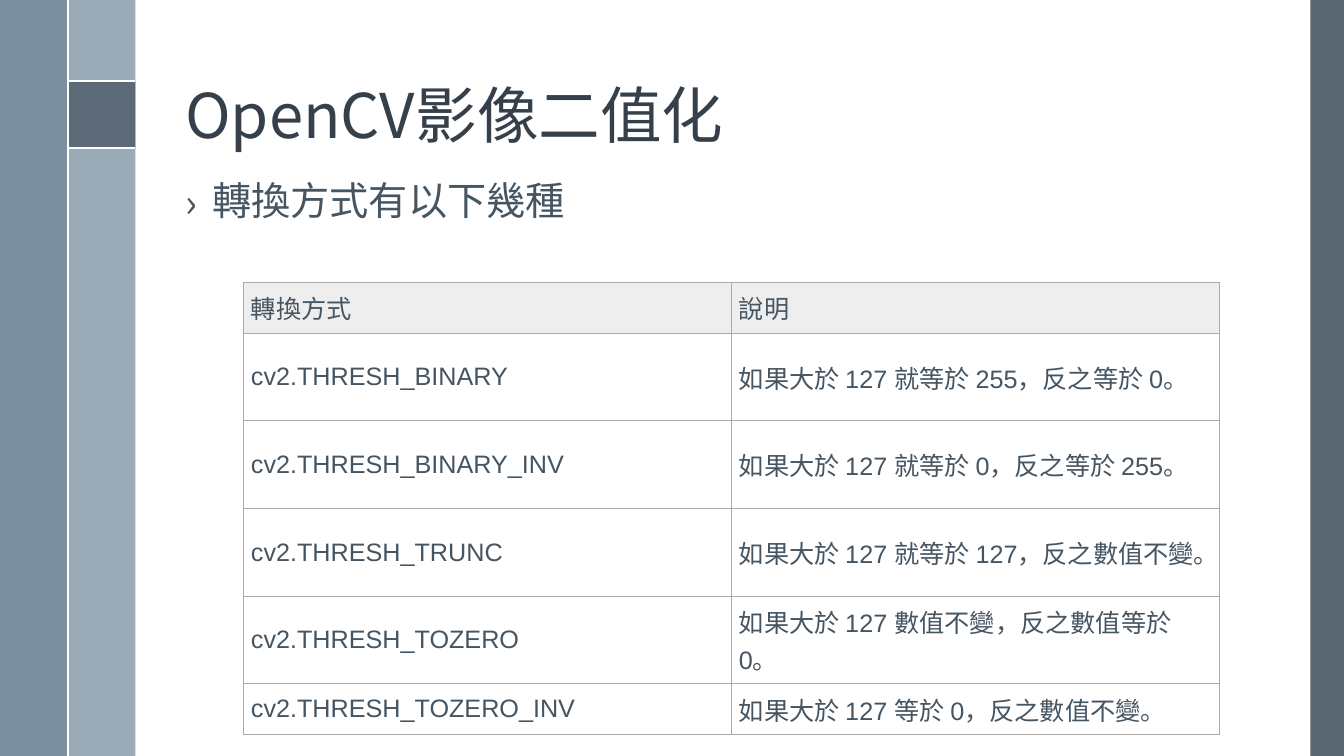
"""Build the slide on OpenCV image thresholding methods."""
from lxml import etree
from pptx import Presentation
from pptx import util as u
from pptx.dml.color import RGBColor
from pptx.enum import shapes, text
from pptx.oxml import ns

Pt = u.Pt
CJK = "Noto Sans CJK TC"


def paint(fill, color, alpha=100):
    fill.solid()
    fill.fore_color.rgb = RGBColor.from_string(color)
    if alpha < 100:
        srgb = fill._xPr.find(".//" + ns.qn("a:srgbClr"))
        etree.SubElement(srgb, ns.qn("a:alpha"), val=str(alpha * 1000))


def write(paragraph, words, size, latin, color):
    run = paragraph.add_run()
    run.text = words
    for name, value in {"size": Pt(size), "name": latin}.items():
        setattr(run.font, name, value)
    paint(run.font.fill, color)
    etree.SubElement(run._r.get_or_add_rPr(), ns.qn("a:ea"), typeface=CJK)


prs = Presentation()
prs.slide_width, prs.slide_height = Pt(960), Pt(540)
slide = prs.slides.add_slide(prs.slide_layouts[6])

for left, top, width, height, color, alpha in [
    (936, 0, 24, 540, "475562", 90),
    (48.75, 0, 48, 540, "9BAAB7", 100),
    (0, 0, 48, 540, "6A8093", 88),
    (48.75, 58, 48, 48, "475562", 75),
]:
    band = slide.shapes.add_shape(
        shapes.MSO_SHAPE.RECTANGLE, Pt(left), Pt(top), Pt(width), Pt(height))
    band.shadow.inherit = False
    band.line.fill.background()
    paint(band.fill, color, alpha)

for ends in [(48.75, 58, 96.75, 58), (48.75, 106, 96.75, 106), (48.75, 0, 48.75, 540)]:
    divider = slide.shapes.add_connector(
        shapes.MSO_CONNECTOR.STRAIGHT, *[Pt(end) for end in ends])
    paint(divider.line.fill, "FFFFFF")
    divider.line.width = Pt(1.5)
    etree.SubElement(divider._element.spPr, ns.qn("a:effectLst"))

for words, top, height, size, color, anchor, bullet in [
    ("OpenCV影像二值化", 13.7, 98, 44, "35404A", text.MSO_ANCHOR.BOTTOM, None),
    ("轉換方式有以下幾種", 126, 360, 28, "465562", text.MSO_ANCHOR.TOP, "›"),
]:
    frame = slide.shapes.add_textbox(Pt(125.3), Pt(top), Pt(770.4), Pt(height)).text_frame
    frame.word_wrap = True
    frame.vertical_anchor = anchor
    paragraph = frame.paragraphs[0]
    paragraph.line_spacing = 0.9
    if bullet:
        layout = paragraph._p.get_or_add_pPr()
        layout.set("marL", str(Pt(19.4)))
        layout.set("indent", str(Pt(-19.4)))
        etree.SubElement(layout, ns.qn("a:buFont"), typeface=CJK)
        etree.SubElement(layout, ns.qn("a:buChar"), char=bullet)
    write(paragraph, words, size, CJK, color)

methods = [
    ("轉換方式", "說明"),
    ("cv2.THRESH_BINARY", "如果大於 127 就等於 255，反之等於 0。"),
    ("cv2.THRESH_BINARY_INV", "如果大於 127 就等於 0，反之等於 255。"),
    ("cv2.THRESH_TRUNC", "如果大於 127 就等於 127，反之數值不變。"),
    ("cv2.THRESH_TOZERO", "如果大於 127 數值不變，反之數值等於 0。"),
    ("cv2.THRESH_TOZERO_INV", "如果大於 127 等於 0，反之數值不變。"),
]
row_heights = [36.4] + [62.6] * 4 + [36.4]
table = slide.shapes.add_table(
    len(methods), 2, Pt(174), Pt(201.6), Pt(697), Pt(sum(row_heights))).table
table.first_row = table.horz_banding = False
cell_format = {
    "vertical_anchor": text.MSO_ANCHOR.MIDDLE,
    "margin_left": Pt(5.25), "margin_right": Pt(5.25),
    "margin_top": Pt(5.25), "margin_bottom": Pt(5.25),
}
for row, (method, height) in enumerate(zip(methods, row_heights)):
    table.rows[row].height = Pt(height)
    for column, words in enumerate(method):
        cell = table.cell(row, column)
        for name, value in cell_format.items():
            setattr(cell, name, value)
        write(cell.text_frame.paragraphs[0], words, 18, "Arial", "465562")
        borders = cell._tc.get_or_add_tcPr()
        for side in ("lnL", "lnR", "lnT", "lnB"):
            border = etree.SubElement(borders, ns.qn("a:" + side), w=str(Pt(0.75)))
            solid = etree.SubElement(border, ns.qn("a:solidFill"))
            etree.SubElement(solid, ns.qn("a:srgbClr"), val="AAAAAA")
        paint(cell.fill, "FFFFFF" if row else "EEEEEE")
        borders.append(borders.find(ns.qn("a:solidFill")))

prs.save("out.pptx")
